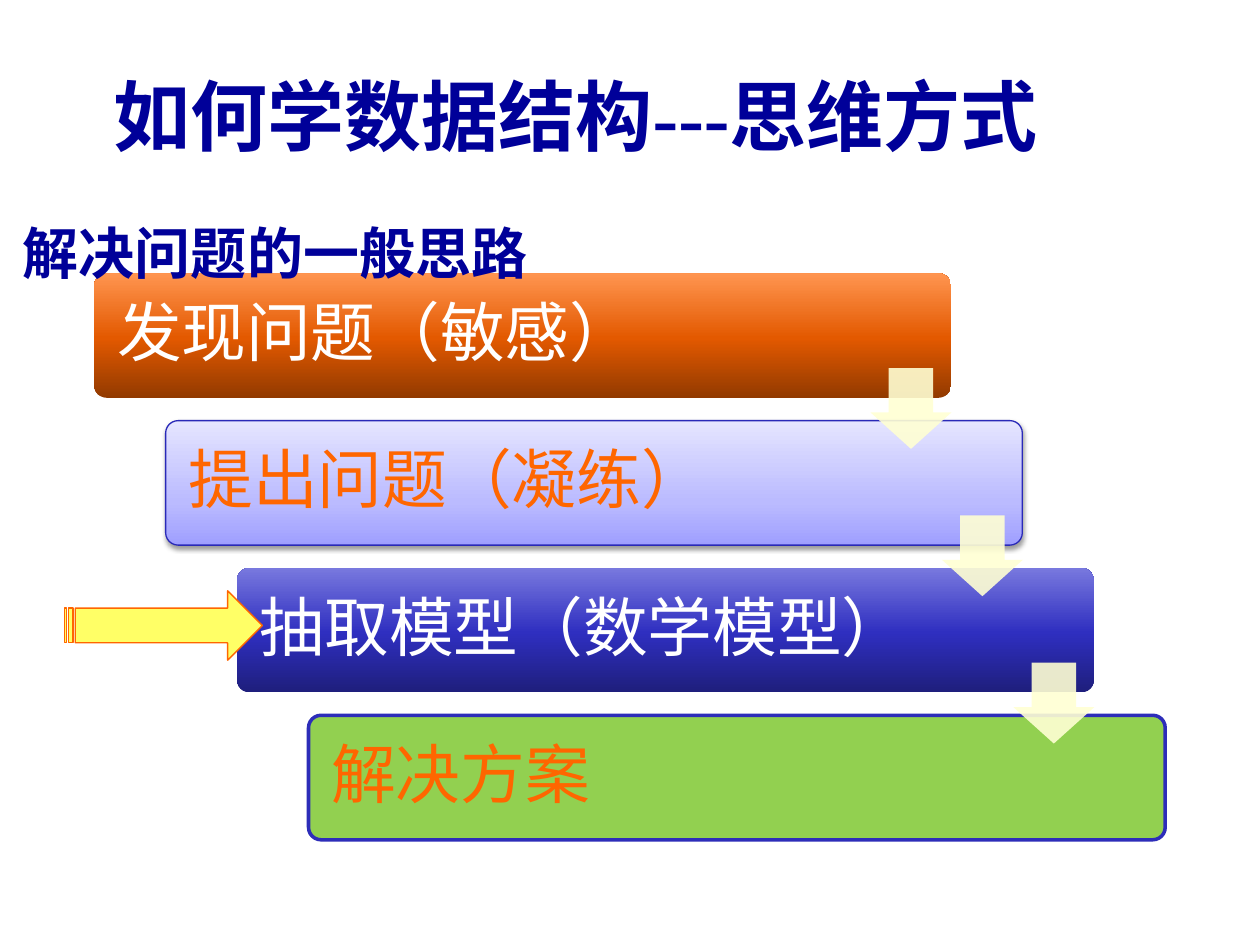
import copy

import lxml.etree
import pptx
import pptx.dml.color
import pptx.enum.shapes
import pptx.enum.text
import pptx.oxml
import pptx.oxml.ns
import pptx.util

Cm = pptx.util.Cm
Pt = pptx.util.Pt
RGBColor = pptx.dml.color.RGBColor
Shape = pptx.enum.shapes.MSO_SHAPE
Align = pptx.enum.text.PP_ALIGN
qn = pptx.oxml.ns.qn

NAVY = RGBColor(0x00, 0x00, 0x99)
WHITE = RGBColor(0xFF, 0xFF, 0xFF)
ORANGE = RGBColor(0xFF, 0x66, 0x00)
YELLOW = RGBColor(0xFF, 0xFF, 0x66)
CREAM = RGBColor(0xFF, 0xFF, 0xD3)
GREEN = RGBColor(0x92, 0xD0, 0x50)
BLUE = RGBColor(0x29, 0x29, 0xB8)
INDIGO = RGBColor(0x2D, 0x2D, 0xB9)
RUST = [(0, RGBColor(0x92, 0x3A, 0x00)), (0.48, RGBColor(0xE3, 0x59, 0x00)),
        (1, RGBColor(0xFF, 0x95, 0x50))]
LILAC = [(0, RGBColor(0x9F, 0x9F, 0xFF)), (0.35, RGBColor(0xBB, 0xBB, 0xFF)),
         (1, RGBColor(0xE5, 0xE5, 0xFF))]
VIOLET = [(0, RGBColor(0x1E, 0x1E, 0x7C)), (0.48, RGBColor(0x2F, 0x2F, 0xC0)),
          (1, RGBColor(0x78, 0x78, 0xDE))]

STEPS = [
    {"text": "发现问题（敏感）", "color": WHITE, "fill": RUST},
    {"text": "提出问题（凝练）", "color": ORANGE, "fill": LILAC,
     "line": (BLUE, 0.75), "shadow": True},
    {"text": "抽取模型（数学模型）", "color": WHITE, "fill": VIOLET},
    {"text": "解决方案", "color": ORANGE, "fill": GREEN, "line": (INDIGO, 2)},
]
LEFT, TOP, WIDTH, HEIGHT = 1.9, 5.51, 17.27, 2.51
STEP_X, STEP_Y = 1.44, 2.97
INSET = 0.08
ARROW_X, ARROW_Y, ARROW_SIZE = 15.65, 1.91, 1.63


class SlideBuilder:
    font_name = "Times New Roman"

    def __init__(self, slide):
        self.slide = slide

    def text(self, box, text, size, color, bold=False, align=Align.CENTER,
             margin=None, line_spacing=None):
        shape = self.slide.shapes.add_textbox(*map(Cm, box))
        frame = shape.text_frame
        frame.word_wrap = True
        frame.vertical_anchor = pptx.enum.text.MSO_ANCHOR.MIDDLE
        if margin is not None:
            for side in ("left", "top", "right", "bottom"):
                setattr(frame, f"margin_{side}", Cm(margin))
        paragraph = frame.paragraphs[0]
        paragraph.alignment = align
        paragraph.line_spacing = line_spacing
        run = paragraph.add_run()
        run.text = text
        font_format = {"name": self.font_name, "size": Pt(size), "bold": bold}
        for name, value in font_format.items():
            setattr(run.font, name, value)
        run.font.color.rgb = color

    def shape(self, preset, box, fill, line=None, adjustments=(),
              alpha=None, shadow=False):
        shape = self.slide.shapes.add_shape(preset, *map(Cm, box))
        for index, value in enumerate(adjustments):
            shape.adjustments[index] = value
        self.paint(shape, fill, alpha)
        if line:
            shape.line.color.rgb, shape.line.width = line[0], Pt(line[1])
        else:
            shape.line.fill.background()
        shape.shadow.inherit = False
        if shadow:
            self.drop_shadow(shape)

    def paint(self, shape, fill, alpha):
        if isinstance(fill, list):
            shape.fill.gradient()
            shape.fill.gradient_angle = 90
            stop_list = shape._element.spPr.find(".//" + qn("a:gsLst"))
            stop_list.append(copy.deepcopy(stop_list[0]))
            for stop, (position, color) in zip(shape.fill.gradient_stops, fill):
                stop.position = position
                stop.color.rgb = color
            return
        shape.fill.solid()
        shape.fill.fore_color.rgb = fill
        if alpha:
            color = shape._element.spPr.find(qn("a:solidFill"))[0]
            lxml.etree.SubElement(color, qn("a:alpha"), val=str(alpha * 1000))

    def drop_shadow(self, shape):
        effects = shape._element.spPr.find(qn("a:effectLst"))
        shadow = lxml.etree.SubElement(
            effects, qn("a:outerShdw"), blurRad=str(Pt(3.1)),
            dist=str(Pt(1.6)), dir="5400000", rotWithShape="0")
        color = lxml.etree.SubElement(shadow, qn("a:srgbClr"), val="000000")
        lxml.etree.SubElement(color, qn("a:alpha"), val="38000")

    def step(self, index, text, color, **style):
        left, top = LEFT + index * STEP_X, TOP + index * STEP_Y
        self.shape(Shape.ROUNDED_RECTANGLE, (left, top, WIDTH, HEIGHT),
                   adjustments=[0.1], **style)
        self.text((left + INSET, top + INSET, 14.1, HEIGHT - 2 * INSET), text,
                  37, color, align=Align.LEFT, margin=0.38, line_spacing=0.9)

    def step_arrow(self, index):
        box = (LEFT + ARROW_X + index * STEP_X, TOP + ARROW_Y + index * STEP_Y,
               ARROW_SIZE, ARROW_SIZE)
        self.shape(Shape.DOWN_ARROW, box, CREAM, adjustments=[0.55, 0.45],
                   alpha=90)


def main():
    presentation = pptx.Presentation()
    presentation.slide_width = Cm(25.4)
    presentation.slide_height = Cm(19.05)
    builder = SlideBuilder(
        presentation.slides.add_slide(presentation.slide_layouts[6]))

    builder.text((1.7, 0.91, 19.81, 2.79), "如何学数据结构---思维方式",
                 44, NAVY, bold=True)
    for index, step in enumerate(STEPS):
        builder.step(index, **step)
    for index in range(len(STEPS) - 1):
        builder.step_arrow(index)
    builder.text((0, 3.94, 11.1, 2.29), "解决问题的一般思路", 32, NAVY, bold=True)
    builder.shape(Shape.STRIPED_RIGHT_ARROW, (1.3, 11.91, 3.99, 1.4), YELLOW,
                  line=(ORANGE, 0.75))
    presentation.save("out.pptx")


if __name__ == "__main__":
    main()
